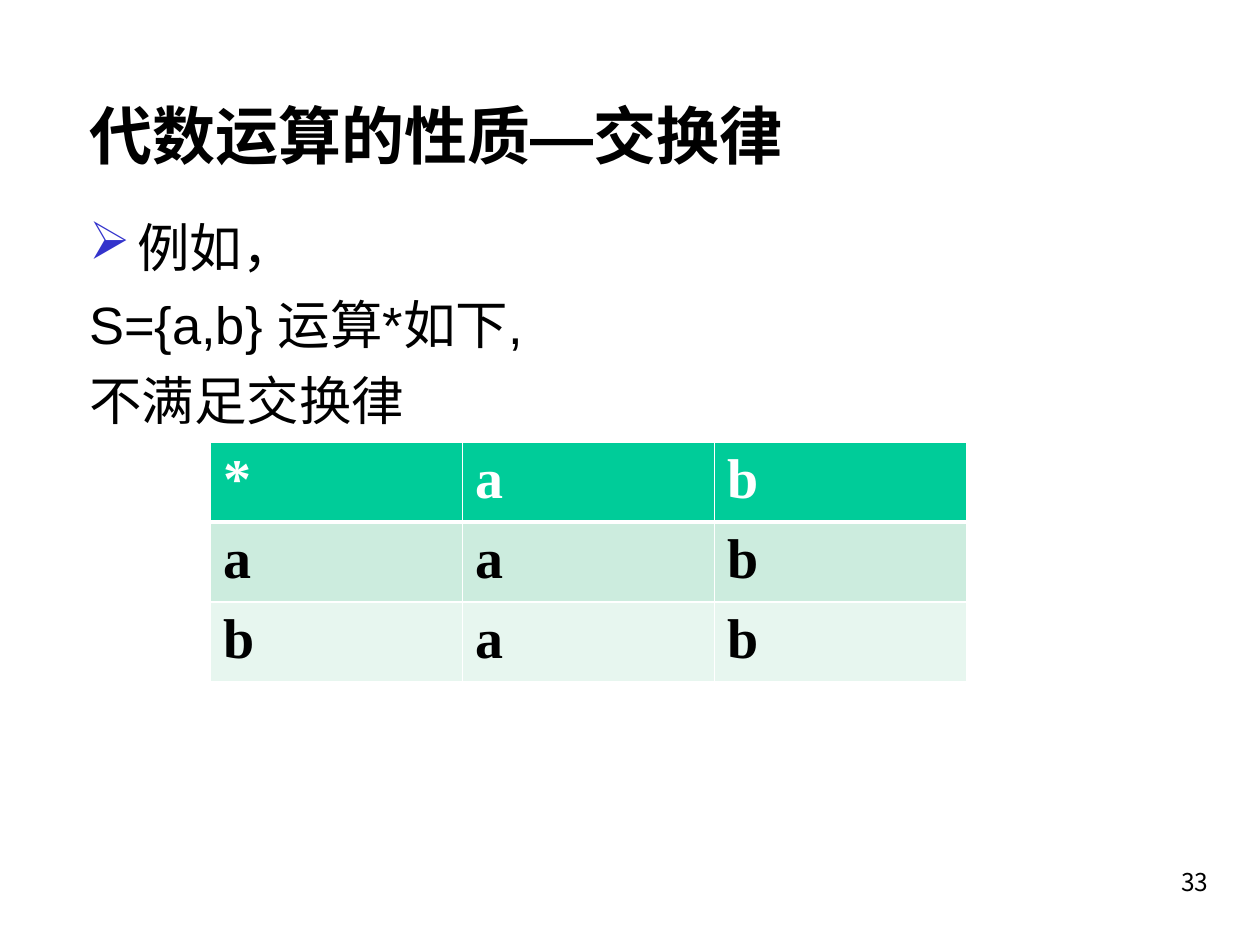
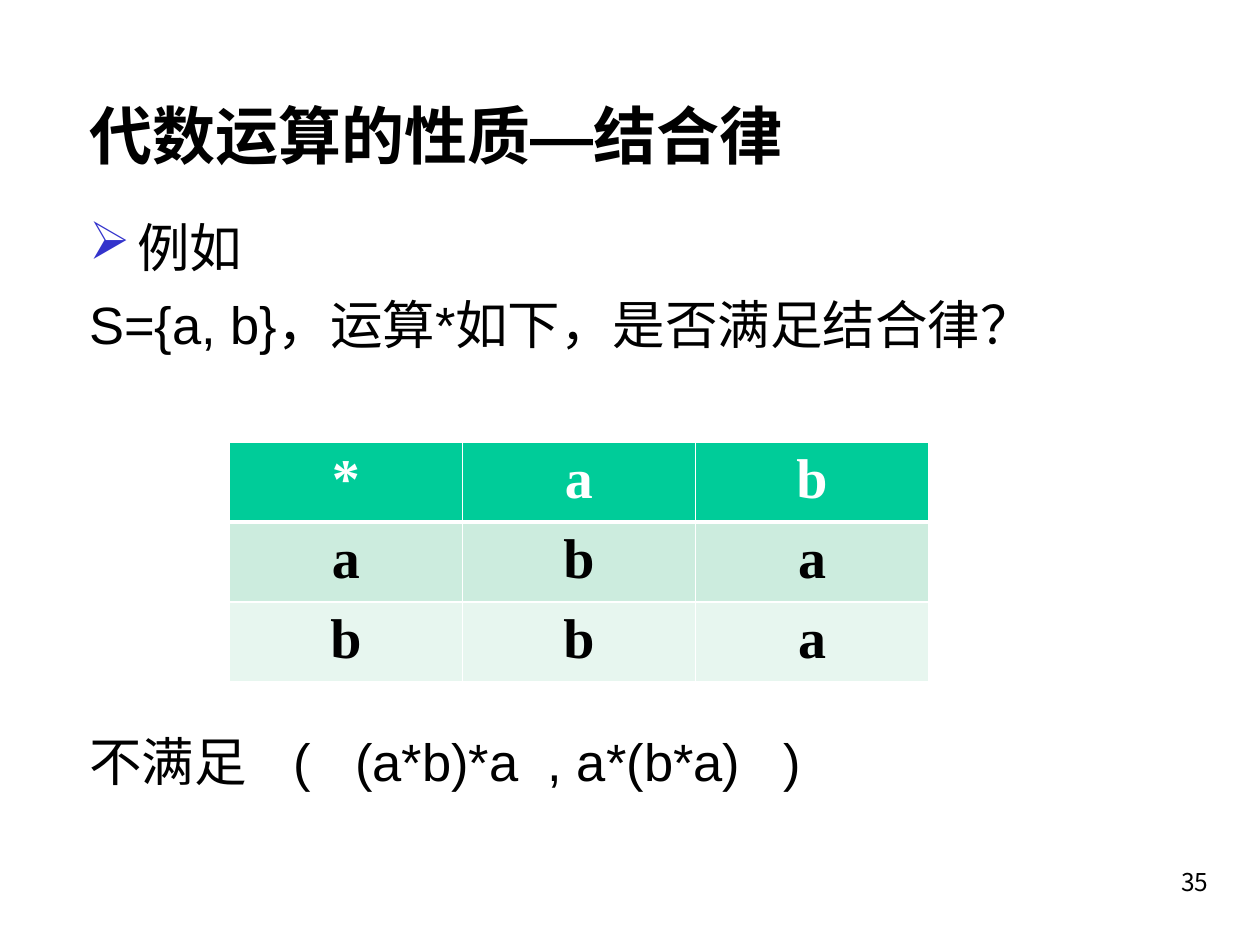
from lxml import etree
from pptx import Presentation
from pptx.dml.color import RGBColor
from pptx.enum.text import MSO_ANCHOR as Anchor, PP_ALIGN as Align
from pptx.oxml.ns import qn
from pptx.util import Inches, Pt

BLACK = RGBColor(0x00, 0x00, 0x00)
WHITE = RGBColor(0xFF, 0xFF, 0xFF)
HEADER_GREEN = RGBColor(0x00, 0xCC, 0x99)
BAND_GREENS = (RGBColor(0xCC, 0xEC, 0xDE), RGBColor(0xE7, 0xF6, 0xEF))
BULLET_BLUE = RGBColor(0x33, 0x33, 0xCC)

BODY_FONT, TABLE_FONT, NUMBER_FONT = "Arial", "Times New Roman", "Noto Sans CJK KR"

# Boxes are left, top, width, height in inches
TITLE_BOX = (0.61, 0.58, 8.77, 0.97)
BODY_BOX = (0.61, 1.61, 9.08, 1.9)
CONCLUSION_BOX = (0.61, 5.69, 9.08, 0.7)
NUMBER_BOX = (7.61, 6.83, 2.08, 0.5)
TABLE_TOP, ROW_HEIGHT = 3.51, 0.63
BULLET_INDENT = 0.38
CONCLUSION_TABS = (1.62, 2.11, 3.64, 5.51)


def write_text(paragraph, text, size=30, font=BODY_FONT, color=BLACK,
               bold=False, align=Align.LEFT, before=0):
    paragraph.alignment = align
    paragraph.space_before = Pt(before)
    run = paragraph.add_run()
    run.text = text
    run.font.size = Pt(size)
    run.font.name = font
    run.font.bold = bold
    run.font.color.rgb = color
    properties = run.font._element
    latin = properties.find(qn("a:latin"))
    latin.addnext(properties.makeelement(qn("a:ea"), {"typeface": font}))


def add_frame(slide, box, anchor=Anchor.TOP, top_inset=0.05):
    frame = slide.shapes.add_textbox(*map(Inches, box)).text_frame
    frame.word_wrap = True
    frame.vertical_anchor = anchor
    frame.margin_top = Inches(top_inset)
    return frame


def add_arrow_bullet(paragraph):
    properties = paragraph._p.get_or_add_pPr()
    indent = Inches(BULLET_INDENT)
    properties.set("marL", str(indent))
    properties.set("indent", str(-indent))
    bullet_color = etree.SubElement(properties, qn("a:buClr"))
    etree.SubElement(bullet_color, qn("a:srgbClr"), val=str(BULLET_BLUE))
    etree.SubElement(properties, qn("a:buChar"), char="➢")


def add_tab_stops(paragraph, stops):
    tabs = etree.SubElement(paragraph._p.get_or_add_pPr(), qn("a:tabLst"))
    for stop in stops:
        etree.SubElement(tabs, qn("a:tab"), pos=str(Inches(stop)), algn="l")


def set_borders(cell, bottom=1, top=1):
    properties = cell._tc.get_or_add_tcPr()
    for side, width in (("L", 1), ("R", 1), ("T", top), ("B", bottom)):
        line = etree.SubElement(properties, qn(f"a:ln{side}"), w=str(Pt(width)))
        fill = etree.SubElement(line, qn("a:solidFill"))
        etree.SubElement(fill, qn("a:srgbClr"), val=str(WHITE))


def add_title(slide, text):
    frame = add_frame(slide, TITLE_BOX, Anchor.MIDDLE)
    write_text(frame.paragraphs[0], text, size=36, bold=True)


def add_body(slide, lines):
    """The first line carries the arrow bullet; the others start flush left."""
    frame = add_frame(slide, BODY_BOX, top_inset=0.1)
    for index, line in enumerate(lines):
        paragraph = frame.add_paragraph() if index else frame.paragraphs[0]
        if index == 0:
            add_arrow_bullet(paragraph)
        write_text(paragraph, line, before=7.5 if index else 0)


def add_conclusion(slide, parts):
    paragraph = add_frame(slide, CONCLUSION_BOX, top_inset=0.1).paragraphs[0]
    add_tab_stops(paragraph, CONCLUSION_TABS)
    write_text(paragraph, "\t".join(parts))


def add_operation_table(slide, rows, left, column_width, align):
    row_count, column_count = len(rows), len(rows[0])
    table = slide.shapes.add_table(
        row_count, column_count, Inches(left), Inches(TABLE_TOP),
        Inches(column_width * column_count), Inches(ROW_HEIGHT * row_count)).table
    for r, symbols in enumerate(rows):
        is_header = r == 0
        for c, symbol in enumerate(symbols):
            cell = table.cell(r, c)
            set_borders(cell, bottom=3 if is_header else 1, top=3 if r == 1 else 1)
            cell.fill.solid()
            cell.fill.fore_color.rgb = HEADER_GREEN if is_header else BAND_GREENS[(r - 1) % 2]
            write_text(cell.text_frame.paragraphs[0], symbol, size=32, font=TABLE_FONT,
                       color=WHITE if is_header else BLACK, bold=True, align=align)


def add_page_number(slide, number):
    write_text(add_frame(slide, NUMBER_BOX).paragraphs[0], str(number), size=14,
               font=NUMBER_FONT, align=Align.RIGHT)


def add_law_slide(deck, law, lines, rows, number, table_left, column_width,
                  align=Align.LEFT, conclusion=None):
    slide = deck.slides.add_slide(deck.slide_layouts[6])
    add_title(slide, f"代数运算的性质—{law}")
    add_body(slide, lines)
    add_operation_table(slide, rows, table_left, column_width, align)
    if conclusion:
        add_conclusion(slide, conclusion)
    add_page_number(slide, number)


def main():
    deck = Presentation()
    deck.slide_width, deck.slide_height = Inches(10), Inches(7.5)
    add_law_slide(deck, "交换律", ("例如，", "S={a,b} 运算*如下,", "不满足交换律"),
                  ("*ab", "aab", "bab"), 33, table_left=1.67, column_width=2)
    add_law_slide(deck, "结合律", ("例如", "S={a, b}，运算*如下，是否满足结合律？"),
                  ("*ab", "aba", "bba"), 35, table_left=1.82, column_width=1.85,
                  align=Align.CENTER,
                  conclusion=("不满足", "(", "(a*b)*a", ", a*(b*a)", ")"))
    deck.save("out.pptx")


if __name__ == "__main__":
    main()
